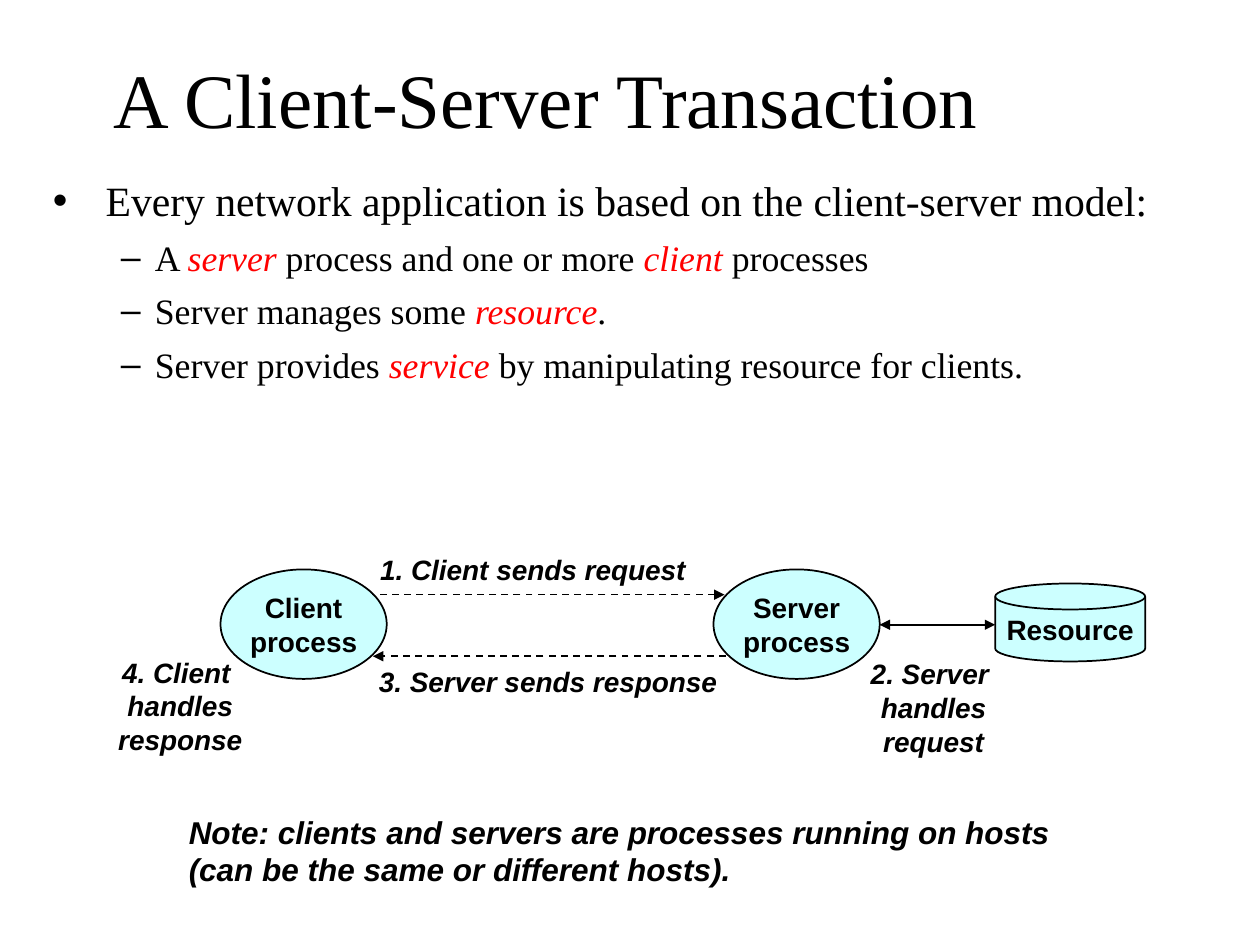
import pptx
import pptx.util
import pptx.dml.color
import pptx.enum.dml
import pptx.enum.shapes
import pptx.enum.text
import pptx.oxml
import pptx.oxml.ns
from lxml import etree

Pt = pptx.util.Pt
Kind = pptx.enum.shapes.MSO_SHAPE
Mid = pptx.enum.text.MSO_ANCHOR.MIDDLE
Top = pptx.enum.text.MSO_ANCHOR.TOP
Align = pptx.enum.text.PP_ALIGN
Fit = pptx.enum.text.MSO_AUTO_SIZE
qn = pptx.oxml.ns.qn
hues = {"ink": "000000", "key": "FF0000", "fill": "CCFFFF"}


def hue(name):
    return pptx.dml.color.RGBColor.from_string(hues[name])


def style(frame, face, size, bold=False, slant=False, align=Align.CENTER):
    for para in frame.paragraphs:
        para.alignment = align
        for run in para.runs:
            font = run.font
            font.name, font.size = face, Pt(size)
            font.bold, font.italic = bold, slant
            font.color.rgb = hue("ink")


deck = pptx.Presentation()
deck.slide_width, deck.slide_height = Pt(720), Pt(540)
slide = deck.slides.add_slide(deck.slide_layouts[1])
shapes = slide.shapes

# Title
title = shapes.title
title.left, title.top, title.width, title.height = Pt(30.2), Pt(33.1), Pt(563.8), Pt(45.4)
title.text_frame.text = "A Client-Server Transaction"
title.text_frame.auto_size = Fit.NONE
title.text_frame.vertical_anchor = Mid
style(title.text_frame, "Times New Roman", 44)

# Bullet list: parts between bars are key words
points = [
    "Every network application is based on the client-server model:",
    "A |server| process and one or more |client |processes",
    "Server manages some |resource|.",
    "Server provides |service| by manipulating resource for clients.",
]
body = slide.placeholders[1]
body.left, body.top, body.width, body.height = Pt(23), Pt(96.5), Pt(685.4), Pt(162)
frame = body.text_frame
frame.auto_size = Fit.NONE
frame.vertical_anchor = Top
for n, point in enumerate(points):
    para = frame.paragraphs[0] if n == 0 else frame.add_paragraph()
    level = min(n, 1)
    para.level = level
    para.space_before = Pt(6 * level)
    props = para._p.get_or_add_pPr()
    left, hang = [(30.2, 30.2), (58.3, 19.4)][level]
    props.set("marL", str(Pt(left)))
    props.set("indent", str(-Pt(hang)))
    tint = etree.SubElement(props, qn("a:buClr"))
    etree.SubElement(tint, qn("a:srgbClr")).set("val", hues["ink"])
    etree.SubElement(props, qn("a:buChar")).set("char", "•–"[level])
    for k, part in enumerate(point.split("|")):
        run = para.add_run()
        run.text = part
        font = run.font
        font.name, font.size = "Times New Roman", Pt([23.8, 20.4][level])
        font.italic = k % 2 == 1
        font.color.rgb = hue("key" if k % 2 else "ink")

# Processes and resource
nodes = [
    (Kind.OVAL, "Client\nprocess", 126, 325.4, 95, 62.6),
    (Kind.OVAL, "Server\nprocess", 407.7, 325.4, 95, 62.6),
    (Kind.FLOWCHART_MAGNETIC_DISK, "Resource", 568.7, 333.4, 85.7, 44.6),
]
for kind, text, x, y, w, h in nodes:
    node = shapes.add_shape(kind, Pt(x), Pt(y), Pt(w), Pt(h))
    node.shadow.inherit = False
    node.fill.solid()
    node.fill.fore_color.rgb = hue("fill")
    node.line.color.rgb = hue("ink")
    node.line.width = Pt(1)
    node.text_frame.text = text
    node.text_frame.word_wrap = False
    node.text_frame.vertical_anchor = Mid
    style(node.text_frame, "Arial", 16, bold=True)

# Arrows: request, response, resource access
arrows = [
    (414, 212.4, 339.8, True, ["headEnd"]),
    (414.7, 213.1, 375, True, ["tailEnd"]),
    (502.7, 568.7, 357, False, ["headEnd", "tailEnd"]),
]
for x, end, y, dash, tips in arrows:
    link = shapes.add_connector(pptx.enum.shapes.MSO_CONNECTOR.STRAIGHT, Pt(x), Pt(y), Pt(end), Pt(y))
    link.line.color.rgb = hue("ink")
    link.line.width = Pt(1)
    if dash:
        link.line.dash_style = pptx.enum.dml.MSO_LINE.DASH
    for tip in tips:
        etree.SubElement(link.line._get_or_add_ln(), qn("a:" + tip)).set("type", "triangle")
    etree.SubElement(link._element.spPr, qn("a:effectLst"))

# Step labels and note, wide enough for each line
labels = [
    ("1. Client sends request", 208.2, 311.8, 192.6, 26.6, 16),
    ("2. Server \nhandles\nrequest", 488.3, 371.8, 90.4, 64.8, 16),
    ("3. Server sends response", 207.5, 375.8, 211.4, 26.6, 16),
    ("4. Client \nhandles\nresponse", 58.5, 370.8, 89, 64.8, 16),
    ("Note: clients and servers are processes running on hosts\n"
     "(can be the same or different hosts).", 100.8, 460.8, 511.2, 50.4, 18),
]
for text, x, y, w, h, size in labels:
    note = size == 18
    frame = shapes.add_textbox(Pt(x), Pt(y), Pt(w), Pt(h)).text_frame
    frame.text = text
    frame.word_wrap = False
    frame.auto_size = Fit.SHAPE_TO_FIT_TEXT
    frame.vertical_anchor = Top if note else Mid
    style(frame, "Arial", size, True, True, Align.LEFT if note else Align.CENTER)

deck.save("out.pptx")
